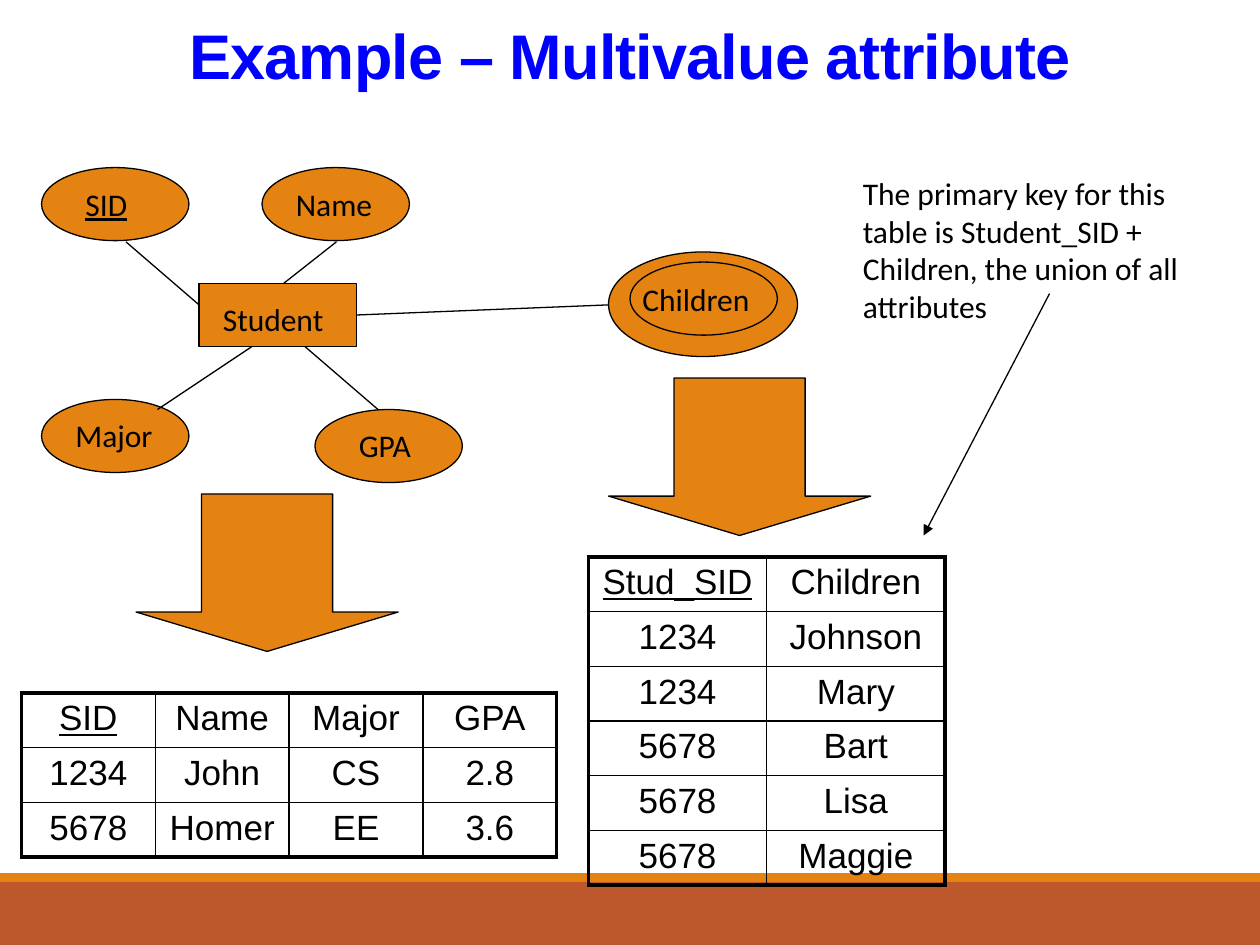
from dataclasses import dataclass

from lxml import etree
from pptx import Presentation
from pptx import util as u
from pptx.dml.color import RGBColor
from pptx.enum import shapes, text
from pptx.oxml import ns


@dataclass(frozen=True)
class Theme:
    orange: str = "E48312"
    rust: str = "BD582C"
    blue: str = "0000FF"
    black: str = "000000"
    white: str = "FFFFFF"
    heading_font: str = "Arial"
    body_font: str = "Calibri"
    title_size: int = 36
    table_size: int = 20
    label_size: int = 18
    thin: float = 0.75
    inner: float = 1
    outer: float = 2.25


THEME = Theme()
KIND = shapes.MSO_SHAPE

TITLE = "Example – Multivalue attribute"
NOTE = ("The primary key for this table is Student_SID + Children, "
        "the union of all attributes")
FOOTER = [((0, 7, 10, 0.5), THEME.rust), ((0, 6.93, 10, 0.07), THEME.orange)]

STUDENT = (1.58, 2.25, 1.25, 0.5)
OVAL_SIZE = (1.17, 0.58)
OVALS = [(2.08, 1.33), (0.33, 1.33), (0.33, 3.17), (2.5, 3.25)]
CHILDREN_OUTER = (4.83, 2, 1.5, 0.83)
CHILDREN_INNER = (5, 2.08)
LINKS = [
    ((1, 1.92), (1.58, 2.42)),
    ((2.67, 1.92), (2.25, 2.25)),
    ((3, 3.25), (2.42, 2.75)),
    ((1.25, 3.25), (2, 2.75)),
]
CHILDREN_LINK = ((4.83, 2.42), (2.83, 2.5))
NOTE_ARROW = ((8.33, 2.33), (7.33, 4.25))
BLOCK_ARROWS = [(1.08, 3.92), (4.83, 3)]
BLOCK_ARROW_SIZE = (2.08, 1.25)
LABELS = [
    ("Student", (1.67, 2.33, 1.08, 0.4)),
    ("SID", (0.58, 1.42, 0.83, 0.4)),
    ("Name", (2.25, 1.42, 0.92, 0.4)),
    ("Major", (0.5, 3.25, 0.83, 0.4)),
    ("GPA", (2.75, 3.33, 0.75, 0.4)),
    ("Children", (5, 2.17, 1.17, 0.4)),
    (NOTE, (6.75, 1.33, 3, 1.3)),
]
KEYS = {"SID", "Stud_SID"}

STUDENT_TABLE = ((0.17, 5.5, 4.25, 1.23), [
    ("SID", "Name", "Major", "GPA"),
    ("1234", "John", "CS", "2.8"),
    ("5678", "Homer", "EE", "3.6"),
])
CHILDREN_TABLE = ((4.67, 4.42, 2.83, 2.6), [
    ("Stud_SID", "Children"),
    ("1234", "Johnson"),
    ("1234", "Mary"),
    ("5678", "Bart"),
    ("5678", "Lisa"),
    ("5678", "Maggie"),
])


def inches(values):
    return [u.Inches(value) for value in values]


def style_text(para, wording, font, size, color=THEME.black, align=text.PP_ALIGN.LEFT):
    para.text = wording
    para.alignment = align
    para.font.name = font
    para.font.size = u.Pt(size)
    para.font.color.rgb = RGBColor.from_string(color)
    if wording in KEYS:
        para.font.underline = True


def add_shape(page, kind, frame, fill=THEME.orange, outlined=True):
    shape = page.shapes.add_shape(kind, *inches(frame))
    shape.shadow.inherit = False
    shape.fill.solid()
    shape.fill.fore_color.rgb = RGBColor.from_string(fill)
    if outlined:
        shape.line.color.rgb = RGBColor.from_string(THEME.black)
        shape.line.width = u.Pt(THEME.thin)
    else:
        shape.line.fill.background()
    return shape


def add_text(page, wording, frame, *style):
    box = page.shapes.add_textbox(*inches(frame))
    box.text_frame.word_wrap = True
    para = box.text_frame.paragraphs[0]
    style_text(para, wording, *style)
    return para


def add_label(page, wording, frame):
    add_text(page, wording, frame, THEME.body_font, THEME.label_size)


def add_line(page, start, end, arrow=False):
    line = page.shapes.add_connector(shapes.MSO_CONNECTOR.STRAIGHT, *inches(start + end))
    line.line.color.rgb = RGBColor.from_string(THEME.black)
    line.line.width = u.Pt(THEME.thin)
    if arrow:
        etree.SubElement(line.line._get_or_add_ln(), ns.qn("a:tailEnd"), type="triangle")
    etree.SubElement(line._element.spPr, ns.qn("a:effectLst"))
    return line


def set_borders(cell, outer_sides):
    properties = cell._tc.get_or_add_tcPr()
    for position, side in enumerate("LRTB"):
        width = THEME.outer if side in outer_sides else THEME.inner
        border = etree.Element(ns.qn(f"a:ln{side}"), w=str(int(u.Pt(width))))
        fill = etree.SubElement(border, ns.qn("a:solidFill"))
        etree.SubElement(fill, ns.qn("a:srgbClr"), val=THEME.black)
        properties.insert(position, border)


def add_table(page, frame, rows):
    height, width = len(rows), len(rows[0])
    table = page.shapes.add_table(height, width, *inches(frame)).table
    table.first_row = table.horz_banding = False
    for row, values in enumerate(rows):
        for column, value in enumerate(values):
            cell = table.cell(row, column)
            style_text(cell.text_frame.paragraphs[0], value, THEME.heading_font,
                       THEME.table_size, THEME.black, text.PP_ALIGN.CENTER)
            if row == 1:
                cell.fill.solid()
                cell.fill.fore_color.rgb = RGBColor.from_string(THEME.white)
            else:
                cell.fill.background()
            edges = {"L": column == 0, "R": column == width - 1,
                     "T": row == 0, "B": row == height - 1}
            set_borders(cell, {side for side, outer in edges.items() if outer})


def main():
    deck = Presentation()
    deck.slide_width, deck.slide_height = inches((10, 7.5))
    page = deck.slides.add_slide(deck.slide_layouts[6])

    for frame, color in FOOTER:
        add_shape(page, KIND.RECTANGLE, frame, color, outlined=False)
    title = add_text(page, TITLE, (0.5, 0.17, 9, 1.25), THEME.heading_font,
                     THEME.title_size, THEME.blue, text.PP_ALIGN.CENTER)
    title.font.bold = True
    title.line_spacing = 0.85
    title.runs[0].font._element.set("spc", "-50")

    student = add_shape(page, KIND.RECTANGLE, STUDENT)
    for corner in OVALS:
        add_shape(page, KIND.OVAL, corner + OVAL_SIZE)
    for start, end in LINKS:
        add_line(page, start, end)
    for corner in BLOCK_ARROWS:
        arrow = add_shape(page, KIND.DOWN_ARROW, corner + BLOCK_ARROW_SIZE)
        arrow.adjustments[0], arrow.adjustments[1] = 0.5, 0.25
    add_shape(page, KIND.OVAL, CHILDREN_OUTER)
    add_shape(page, KIND.OVAL, CHILDREN_INNER + OVAL_SIZE)
    add_line(page, *CHILDREN_LINK).end_connect(student, 3)

    for frame, rows in (STUDENT_TABLE, CHILDREN_TABLE):
        add_table(page, frame, rows)
    for wording, frame in LABELS:
        add_label(page, wording, frame)
    add_line(page, *NOTE_ARROW, arrow=True)
    deck.save("out.pptx")


if __name__ == "__main__":
    main()
